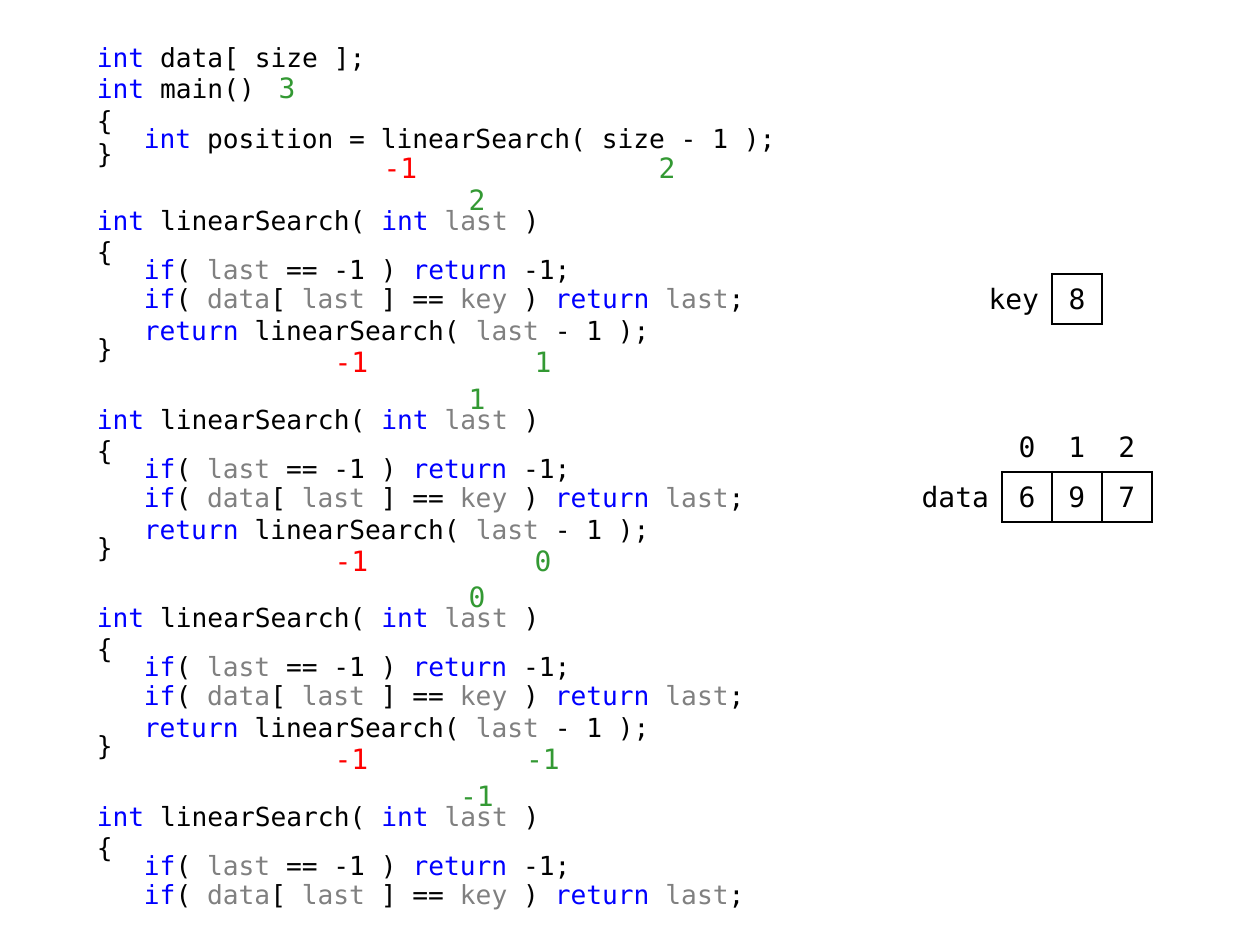
from dataclasses import dataclass
from itertools import groupby
from lxml.etree import SubElement
from pptx import Presentation
from pptx.dml.color import RGBColor
from pptx.enum.text import MSO_ANCHOR, PP_ALIGN
from pptx.oxml.ns import qn
from pptx.util import Pt


@dataclass(frozen=True)
class Theme:
    font: str = "DejaVu Sans Mono"
    code: int = 15
    label: int = 16
    ink: str = "000000"
    word: str = "0000FF"
    dim: str = "808080"
    back: str = "FF0000"
    live: str = "339933"
    line: float = 1.5


T = Theme()
SCALE = 914400 / 126
INDENT = 47
CELL = 50
WORDS = {"int", "if", "return"}
NAMES = {"last", "data", "key"}

MAIN = [
    ("int data[ size ];", 0, 1),
    ("int main()", 0, 1),
    ("{", 0, 1),
    ("int position = linearSearch( size - 1 );", INDENT, 0.5),
    ("}", 0, 0.5),
]
SEARCH = [
    ("int linearSearch( int last )", 0, 1),
    ("{", 0, 1),
    ("if( last == -1 ) return -1;", INDENT, 0.5),
    ("if( data[ last ] == key ) return last;", INDENT, 1),
    ("return linearSearch( last - 1 );", INDENT, 1),
    ("}", 0, 0.5),
]
CALLS = [
    (199, "2", "1", "-1"),
    (398, "1", "0", "-1"),
    (596, "0", "-1", "-1"),
    (795, "-1", None, None),
]
NOTES = [
    ("-1", T.back, (357, 150, 74, 50), (13, 0, 0, 15)),
    ("3", T.live, (258, 50, 50, 50), (13, 25, 5, 0)),
    ("2", T.live, (630, 150, 74, 50), (13, 0, 13, 15)),
]
TABLES = [
    ((903, 422), 99, [["", "0", "1", "2"], ["data", "6", "9", "7"]]),
    ((978, 274), 74, [["key", "8"]]),
]


def px(n):
    return round(n * SCALE)


def put(host, lines, color=T.ink, size=T.label, align=PP_ALIGN.CENTER,
        anchor=MSO_ANCHOR.MIDDLE, pad=(0, 0, 0, 0), tints=None):
    frame = getattr(host, "text_frame", host)
    host.vertical_anchor = anchor
    for side, gap in zip(("left", "top", "right", "bottom"), pad):
        setattr(host, f"margin_{side}", px(gap))
    for i, (text, indent, space) in enumerate(lines):
        para = frame.add_paragraph() if i else frame.paragraphs[0]
        para.alignment = align
        para.line_spacing = space
        if indent:
            para._p.get_or_add_pPr().set("marL", str(px(indent)))
        for _, part in groupby(text, str.isalpha if tints else bool):
            part = "".join(part)
            run = para.add_run()
            run.text = part
            run.font.name = T.font
            run.font.size = Pt(size)
            tint = (tints or {}).get(part, color)
            run.font.color.rgb = RGBColor.from_string(tint)


def box(slide, area, lines, wrap=False, **style):
    frame = slide.shapes.add_textbox(*map(px, area)).text_frame
    frame.word_wrap = wrap
    put(frame, lines, **style)


def code(slide, area, lines, top, names=()):
    tints = dict.fromkeys(WORDS, T.word) | dict.fromkeys(names, T.dim)
    box(slide, area, lines, wrap=True, size=T.code, align=PP_ALIGN.LEFT,
        anchor=MSO_ANCHOR.TOP, pad=(13, top, 13, 5), tints=tints)


def note(slide, text, color, area, pad):
    box(slide, area, [(text, 0, 1)], color=color, pad=pad)


def edge(cell):
    props = cell._tc.get_or_add_tcPr()
    for side in "LRTB":
        line = SubElement(props, qn(f"a:ln{side}"), w=str(Pt(T.line)))
        fill = SubElement(line, qn("a:solidFill"))
        SubElement(fill, qn("a:srgbClr"), val=T.ink)


def grid(slide, spot, first, rows):
    widths = [first] + [CELL] * (len(rows[0]) - 1)
    area = (*spot, sum(widths), CELL * len(rows))
    table = slide.shapes.add_table(len(rows), len(widths), *map(px, area)).table
    table.first_row = table.horz_banding = False
    style = table._tbl.tblPr.find(qn("a:tableStyleId"))
    style.text = "{2D5ABB26-0587-4C30-8999-92F81FD0307C}"
    for col, width in zip(table.columns, widths):
        col.width = px(width)
    for r, row in enumerate(rows):
        table.rows[r].height = px(CELL)
        for c, text in enumerate(row):
            cell = table.cell(r, c)
            if c and r == len(rows) - 1:
                edge(cell)
            cell.fill.background()
            align = PP_ALIGN.CENTER if c else PP_ALIGN.RIGHT
            pad = (0, 2, 0, 0) if c else (10, 2, 13, 0)
            put(cell, [(text, 0, 1)], align=align, pad=pad)


def main():
    deck = Presentation()
    deck.slide_width, deck.slide_height = px(1260), px(945)
    slide = deck.slides.add_slide(deck.slide_layouts[6])
    code(slide, (84, 26, 794, 149), MAIN, 15)
    for top, last, arg, result in CALLS:
        lines = SEARCH if arg else SEARCH[:4]
        code(slide, (84, top, 745, 174 if arg else 123), lines, 5, NAMES)
        note(slide, last, T.live, (456, top - 25, 50, 50), (0, 0, 8, 0))
        if arg:
            note(slide, result, T.back, (333, top + 150, 50, 25), (0, 0, 13, 0))
            note(slide, arg, T.live, (506, top + 150, 74, 25), (13, 0, 13, 0))
    for item in NOTES:
        note(slide, *item)
    for item in TABLES:
        grid(slide, *item)
    deck.save("out.pptx")


if __name__ == "__main__":
    main()
